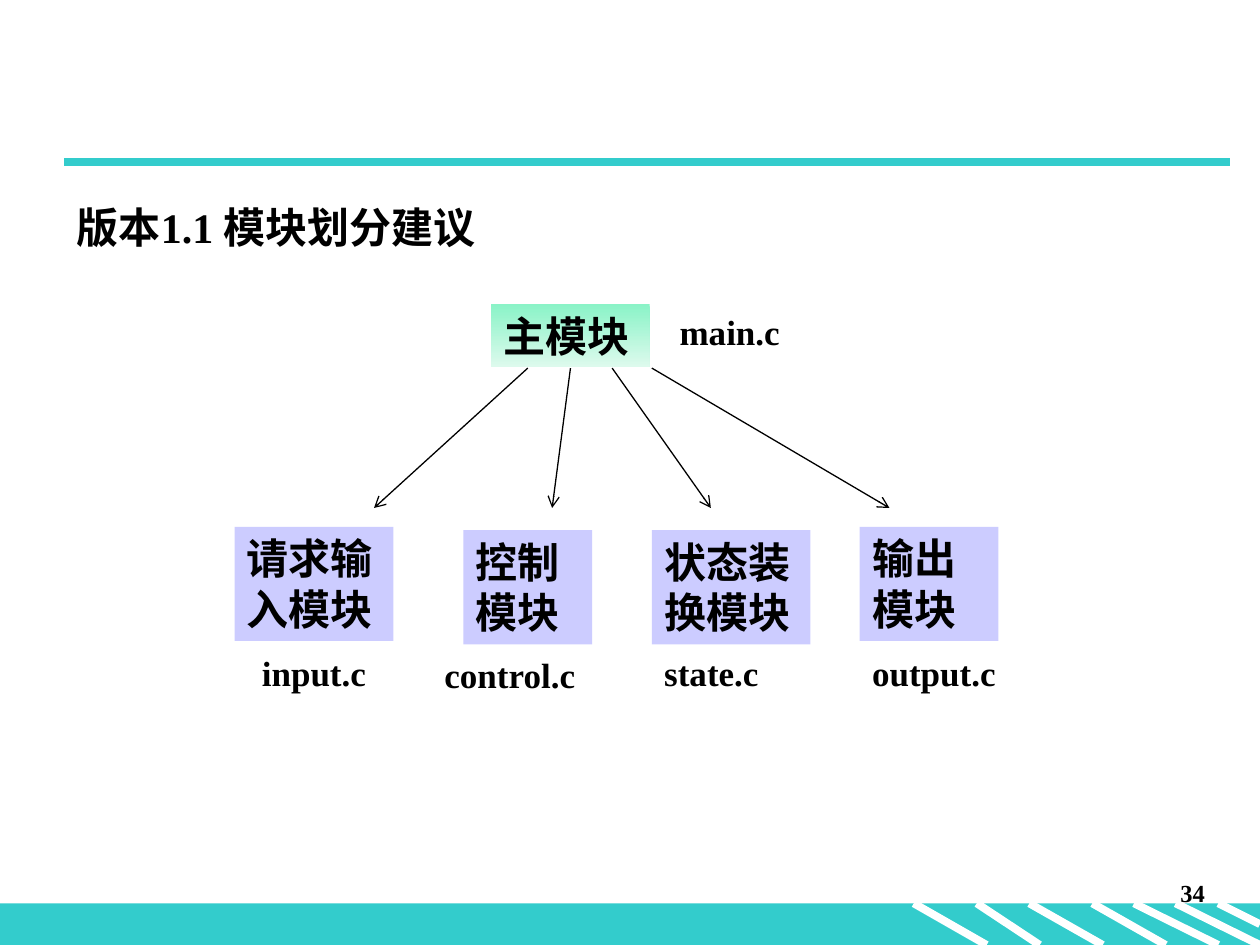
from dataclasses import dataclass

from lxml import etree
from pptx import Presentation
from pptx.dml.color import RGBColor
from pptx.enum import shapes, text
from pptx.oxml.ns import qn
from pptx.util import Cm, Pt


@dataclass(frozen=True)
class Theme:
    font: str = "Times New Roman"
    ink: str = "000000"
    teal: str = "33CCCC"
    white: str = "FFFFFF"
    lilac: str = "CCCCFF"
    mint: tuple[str, str] = ("8AF3C7", "DDFAED")
    heading: int = 24
    label: int = 20
    number: int = 14
    thick: float = 4.5
    thin: float = 0.75


@dataclass(frozen=True)
class Rect:
    left: float
    top: float
    width: float
    height: float

    def lengths(self) -> tuple[Cm, ...]:
        return tuple(Cm(v) for v in (self.left, self.top, self.width, self.height))


@dataclass(frozen=True)
class Module:
    title: str
    box: Rect
    file: str
    label: Rect


@dataclass(frozen=True)
class Line:
    x1: float
    y1: float
    x2: float
    y2: float


THEME = Theme()
WIDTH, HEIGHT = 25.4, 19.05
BAR_TOP = 18.21
ARROW_TOP, ARROW_END = 7.42, 10.24

MAIN = Module("主模块", Rect(9.9, 6.13, 3.2, 1.27), "main.c", Rect(13.45, 6.13, 2.6, 1.11))
PARTS = [
    Module("请求输入模块", Rect(4.73, 10.62, 3.2, 2.3), "input.c", Rect(5.03, 13, 2.9, 1.11)),
    Module("控制模块", Rect(9.34, 10.69, 2.6, 2.3), "control.c", Rect(8.71, 13.05, 3.63, 1.11)),
    Module("状态装换模块", Rect(13.14, 10.69, 3.2, 2.3), "state.c", Rect(13.14, 13, 2.9, 1.11)),
    Module("输出模块", Rect(17.33, 10.62, 2.8, 2.3), "output.c", Rect(17.33, 13, 3.6, 1.11)),
]
ARROWS = [(10.64, 7.54), (11.5, 11.13), (12.34, 14.33), (13.14, 17.93)]
STRIPES = [(18.42, 19.89), (19.69, 20.96), (20.75, 22.23), (22.02, 23.5),
           (22.86, 24.56), (23.7, WIDTH)]


def draw_line(page, line: Line, color: str, width: float, arrow: bool = False) -> None:
    connector = page.shapes.add_connector(
        shapes.MSO_CONNECTOR.STRAIGHT,
        Cm(line.x1), Cm(line.y1), Cm(line.x2), Cm(line.y2))
    connector.line.color.rgb = RGBColor.from_string(color)
    connector.line.width = Pt(width)
    if arrow:
        etree.SubElement(connector.line._get_or_add_ln(), qn("a:tailEnd"), type="arrow")
    etree.SubElement(connector._element.spPr, qn("a:effectLst"))


def add_rectangle(page, rect: Rect, color: str):
    box = page.shapes.add_shape(shapes.MSO_SHAPE.RECTANGLE, *rect.lengths())
    box.shadow.inherit = False
    box.fill.solid()
    box.fill.fore_color.rgb = RGBColor.from_string(color)
    box.line.fill.background()
    return box


def write(box, words: str, size: int, align=text.PP_ALIGN.LEFT) -> None:
    frame = box.text_frame
    frame.word_wrap = True
    frame.vertical_anchor = text.MSO_ANCHOR.TOP
    para = frame.paragraphs[0]
    para.text = words
    para.alignment = align
    para.font.name = THEME.font
    para.font.size = Pt(size)
    para.font.bold = True
    para.font.color.rgb = RGBColor.from_string(THEME.ink)


def add_text(page, rect: Rect, words: str, size: int, align=text.PP_ALIGN.LEFT) -> None:
    write(page.shapes.add_textbox(*rect.lengths()), words, size, align)


def draw_module(page, module: Module):
    """Draw the module's box with its file name beside it."""
    box = add_rectangle(page, module.box, THEME.lilac)
    write(box, module.title, THEME.heading)
    add_text(page, module.label, module.file, THEME.label)
    return box


def fade_down(box, colors: tuple[str, str]) -> None:
    box.fill.gradient()
    box.fill.gradient_angle = 270
    for stop, color in zip(box.fill.gradient_stops, colors):
        stop.color.rgb = RGBColor.from_string(color)


def draw_frame(page) -> None:
    """Draw the striped footer, the rule and the page number."""
    add_rectangle(page, Rect(0, BAR_TOP, WIDTH, HEIGHT - BAR_TOP), THEME.teal)
    stripes = [Line(start, BAR_TOP, end, HEIGHT) for start, end in STRIPES]
    stripes.append(Line(24.56, BAR_TOP, WIDTH, 18.63))
    for stripe in stripes:
        draw_line(page, stripe, THEME.white, THEME.thick)
    draw_line(page, Line(1.3, 3.27, 24.8, 3.27), THEME.teal, THEME.thick)
    add_text(page, Rect(19.26, 17.58, 5.28, 1.27), "34", THEME.number, text.PP_ALIGN.RIGHT)


def main() -> None:
    deck = Presentation()
    deck.slide_width, deck.slide_height = Cm(WIDTH), Cm(HEIGHT)
    page = deck.slides.add_slide(deck.slide_layouts[6])
    draw_frame(page)
    add_text(page, Rect(1.3, 3.94, 13.03, 1.27), "版本1.1 模块划分建议", THEME.heading)
    fade_down(draw_module(page, MAIN), THEME.mint)
    for part in PARTS:
        draw_module(page, part)
    for start, end in ARROWS:
        draw_line(page, Line(start, ARROW_TOP, end, ARROW_END), THEME.ink, THEME.thin, arrow=True)
    deck.save("out.pptx")


if __name__ == "__main__":
    main()
